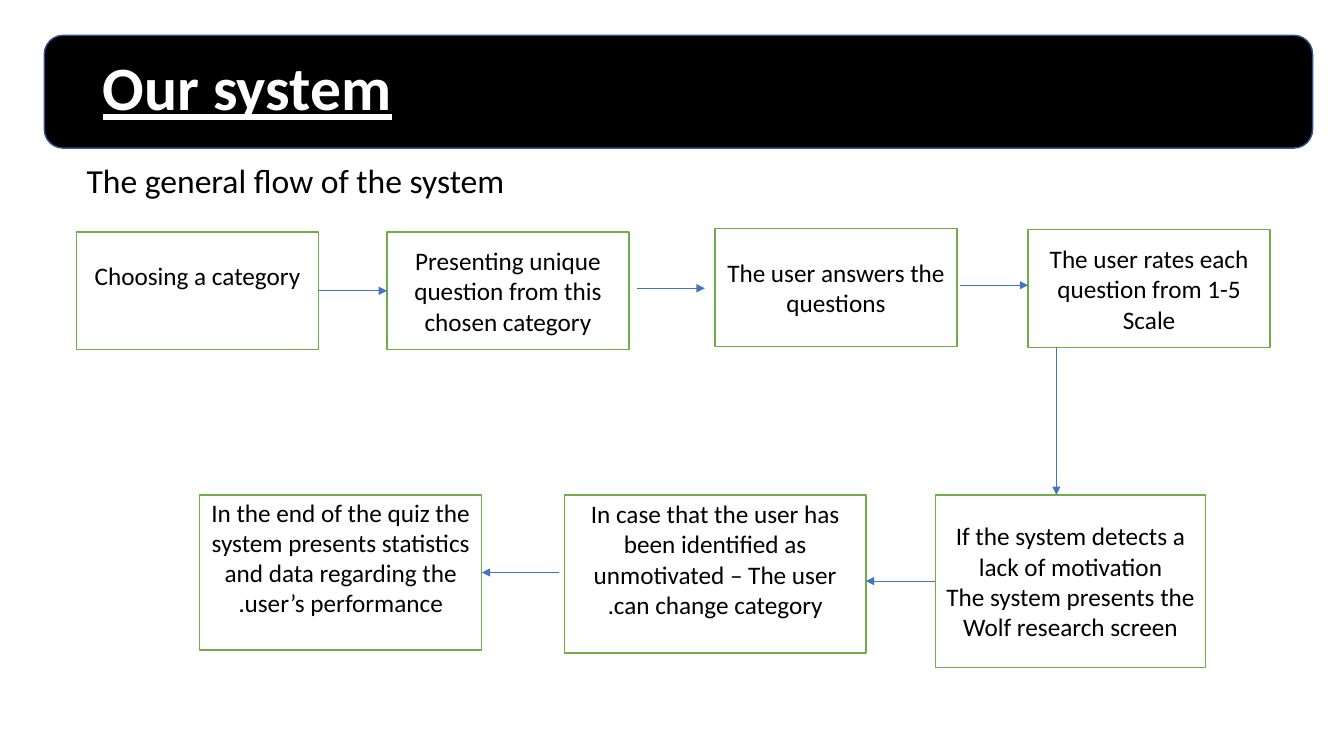
from lxml.etree import SubElement
from pptx import Presentation
from pptx.dml.color import RGBColor
from pptx.enum.shapes import MSO_CONNECTOR, MSO_SHAPE
from pptx.enum.text import MSO_ANCHOR, MSO_AUTO_SIZE, PP_ALIGN
from pptx.oxml.ns import qn
from pptx.util import Inches, Pt

color = RGBColor.from_string
deck = Presentation()
deck.slide_width = Inches(13.33)
deck.slide_height = Inches(7.5)
slide = deck.slides.add_slide(deck.slide_layouts[5])


def place(*percents):
    sides = (deck.slide_width, deck.slide_height) * 2
    return [int(side * percent / 100) for side, percent in zip(sides, percents)]


def write(para, text, size, ink):
    span = para.add_run()
    span.text = text
    span.font.name = "Calibri"
    span.font.size = Pt(size)
    span.font.color.rgb = color(ink)
    return span


title = slide.shapes.title
title.left, title.top, title.width, title.height = place(6.9, 5.87, 86.25, 12.27)
title.text_frame.auto_size = MSO_AUTO_SIZE.NONE
title.text_frame.vertical_anchor = MSO_ANCHOR.MIDDLE
para = title.text_frame.paragraphs[0]
para.alignment = PP_ALIGN.LEFT
para.line_spacing = 0.9
span = write(para, "Our system", 44, "FFFFFF")
span.font.bold = True
span.font.underline = True

banner = slide.shapes.add_shape(MSO_SHAPE.ROUNDED_RECTANGLE, *place(3.3, 4.67, 94.37, 14.93))
banner.shadow.inherit = False
banner.fill.solid()
banner.fill.fore_color.rgb = color("000000")
banner.line.color.rgb = color("325491")
banner.line.width = Pt(1)
title.element.addprevious(banner.element)

subtitle = slide.shapes.add_textbox(*place(5.7, 21.07, 86.25, 9.6))
subtitle.text_frame.word_wrap = True
para = subtitle.text_frame.paragraphs[0]
para.line_spacing = 0.9
para.space_before = Pt(10)
write(para, "The general flow of the system", 24, "000000")

steps = {
    "choose": ((5.7, 30.67, 18, 15.6), 0.35, ["Choosing a category"]),
    "present": ((28.8, 30.67, 18, 15.6), 0.05,
                ["Presenting unique question from this chosen category"]),
    "answer": ((53.2, 30.27, 18, 15.6), 0.05, ["The user answers the", "questions"]),
    "rate": ((76.5, 30.4, 18, 15.6), 0.05,
             ["The user rates each question from 1-5", "Scale"]),
    "finish": ((14.85, 65.47, 21, 20.52), 0.35,
               ["In the end of the quiz the system presents statistics and data "
                "regarding the user’s performance."]),
    "change": ((42, 65.47, 22.43, 20.93), 0.35,
               ["In case that the user has been identified as unmotivated – "
                "The user can change category."]),
    "detect": ((69.6, 65.47, 20.1, 22.8), 0.05,
               ["If the system detects a lack of motivation",
                "The system presents the Wolf research screen"]),
}
boxes = {}
for name, (area, bottom_inset, lines) in steps.items():
    box = slide.shapes.add_shape(MSO_SHAPE.RECTANGLE, *place(*area))
    box.shadow.inherit = False
    box.fill.solid()
    box.fill.fore_color.rgb = color("FFFFFF")
    box.line.color.rgb = color("70AD47")
    box.line.width = Pt(1)
    frame = box.text_frame
    frame.word_wrap = True
    frame.vertical_anchor = MSO_ANCHOR.MIDDLE
    frame.margin_bottom = Inches(bottom_inset)
    for number, line in enumerate(lines):
        para = frame.add_paragraph() if number else frame.paragraphs[0]
        para.alignment = PP_ALIGN.CENTER
        para._p.get_or_add_pPr().set("rtl", "1")
        write(para, line, 18, "000000")
    boxes[name] = box

arrows = [
    ((23.7, 38.47, 28.8, 38.47), ("choose", 3), ("present", 1)),
    ((47.4, 38.13, 52.44, 38.13), None, None),
    ((71.42, 37.73, 76.5, 37.73), None, None),
    ((78.6, 45.87, 78.6, 65.47), None, None),
    ((69.6, 76.87, 64.43, 76.87), ("detect", 1), None),
    ((41.56, 75.73, 35.85, 75.73), None, ("finish", 3)),
]
for ends, source, target in arrows:
    arrow = slide.shapes.add_connector(MSO_CONNECTOR.STRAIGHT, *place(*ends))
    if source:
        arrow.begin_connect(boxes[source[0]], source[1])
    if target:
        arrow.end_connect(boxes[target[0]], target[1])
    arrow.line.color.rgb = color("4472C4")
    arrow.line.width = Pt(0.5)
    SubElement(arrow.line._get_or_add_ln(), qn("a:tailEnd"), type="triangle")
    SubElement(arrow.element.spPr, qn("a:effectLst"))

deck.save("out.pptx")
